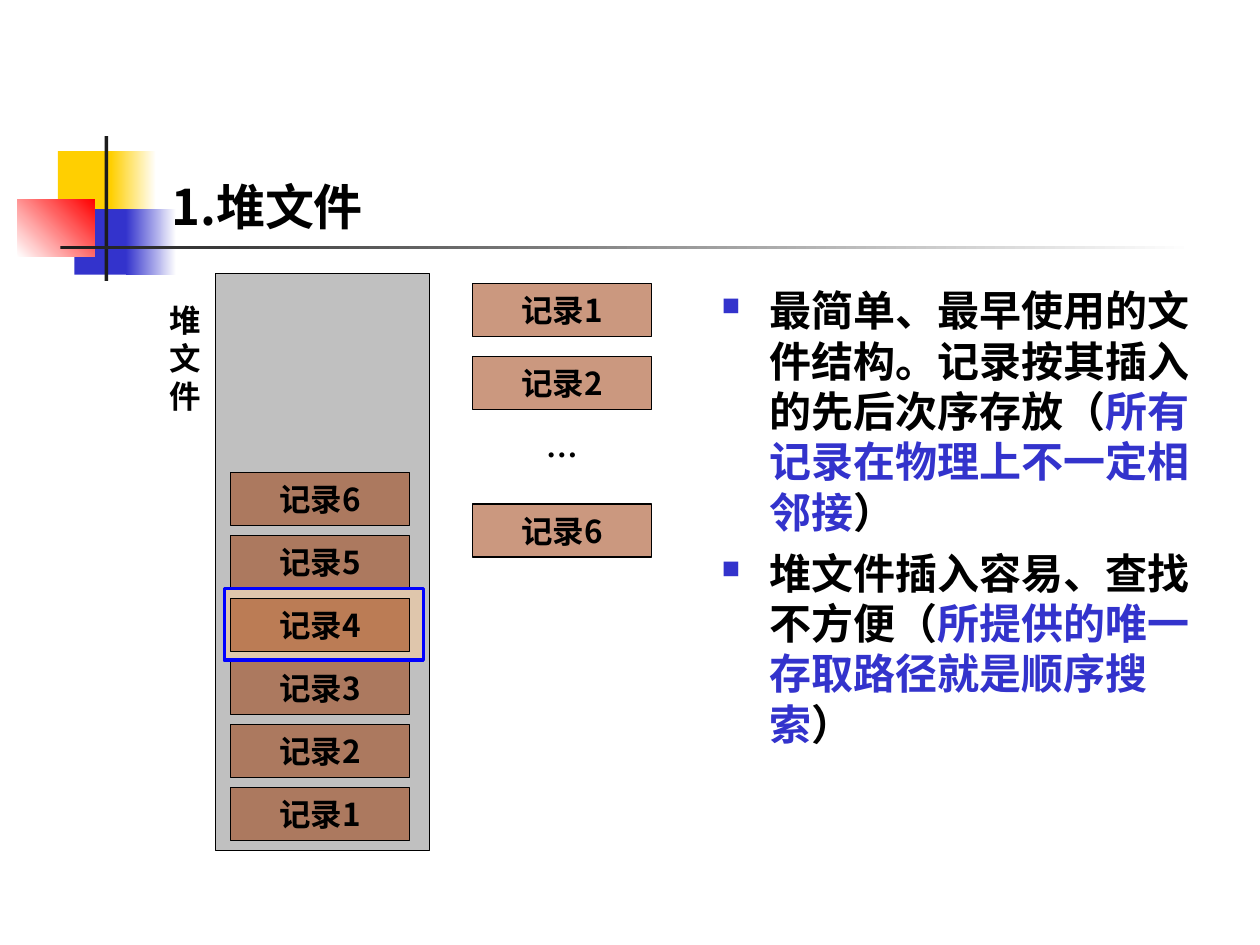
from typing import NamedTuple

from lxml import etree
from pptx import Presentation
from pptx.dml.color import RGBColor
from pptx.enum.shapes import MSO_SHAPE
from pptx.enum.text import MSO_ANCHOR, PP_ALIGN
from pptx.oxml.ns import qn
from pptx.util import Inches, Pt

RECT = MSO_SHAPE.RECTANGLE
CENTER, LEFT, JUSTIFY = PP_ALIGN.CENTER, PP_ALIGN.LEFT, PP_ALIGN.JUSTIFY
TOP, MIDDLE, BOTTOM = MSO_ANCHOR.TOP, MSO_ANCHOR.MIDDLE, MSO_ANCHOR.BOTTOM
SANS, SERIF = "Noto Sans CJK SC", "Times New Roman"
BLACK, BLUE, BROWN = "000000", "3333CC", "993300"
REC_W, REC_H = 1.42, 0.42


class Box(NamedTuple):
    x: float
    y: float
    w: float
    h: float


class Deco(NamedTuple):
    box: Box
    start: str
    end: str = ""
    angle: float = 0


class Point(NamedTuple):
    lead: str
    key: str


DECOS = [
    Deco(Box(0.46, 1.2, 0.48, 0.52), "FFCF01"),
    Deco(Box(0.88, 1.2, 0.36, 0.52), "FFCF01", "FFFFFF"),
    Deco(Box(0.59, 1.66, 0.46, 0.52), BLUE),
    Deco(Box(1, 1.66, 0.4, 0.52), BLUE, "FFFFFF"),
    Deco(Box(0.14, 1.58, 0.61, 0.46), "FFFFFF", "FF0000", 45),
    Deco(Box(0.83, 1.08, 0.03, 1.15), "1C1C1C"),
    Deco(Box(0.48, 1.95, 9, 0.03), "1C1C1C", "FFFFFF"),
]
POINTS = [
    Point("最简单、最早使用的文件结构。记录按其插入的先后次序存放（",
          "所有记录在物理上不一定相邻接"),
    Point("堆文件插入容易、查找不方便（", "所提供的唯一存取路径就是顺序搜索"),
]


def rgb(color: str) -> RGBColor:
    return RGBColor.from_string(color)


def place(box: Box) -> list:
    return [Inches(v) for v in box]


def style(run, size: float, face: str = SANS, color: str = BLACK) -> None:
    font = run.font
    font.size, font.bold = Pt(size), True
    font.color.rgb = rgb(color)
    font.name = face
    # East Asian glyphs take their face from a separate element
    font._element.find(qn("a:latin")).addnext(
        etree.Element(qn("a:ea"), typeface=SANS))


def write(shape, text: str, size: float, face: str = SANS,
          align=CENTER, anchor=MIDDLE) -> None:
    frame = shape.text_frame
    frame.word_wrap, frame.vertical_anchor = True, anchor
    frame.text = text
    para = frame.paragraphs[0]
    para.alignment = align
    style(para.runs[0], size, face)


def draw(shapes, box: Box, fill: str, line: str = "", width: float = 0.75,
         alpha: int = 100):
    """Add a rectangle; alpha is the opacity in percent."""
    shape = shapes.add_shape(RECT, *place(box))
    shape.shadow.inherit = False
    shape.fill.solid()
    shape.fill.fore_color.rgb = rgb(fill)
    if alpha < 100:
        tint = shape._element.spPr.find(".//" + qn("a:srgbClr"))
        etree.SubElement(tint, qn("a:alpha"), val=str(alpha * 1000))
    if line:
        shape.line.color.rgb = rgb(line)
        shape.line.width = Pt(width)
    else:
        shape.line.fill.background()
    return shape


def decorate(shapes, deco: Deco) -> None:
    shape = draw(shapes, deco.box, deco.start)
    if deco.end:
        shape.fill.gradient()
        shape.fill.gradient_angle = deco.angle
        for stop, color in zip(shape.fill.gradient_stops, deco[1:3]):
            stop.color.rgb = rgb(color)


def record(shapes, num: int, x: float, y: float) -> None:
    box = Box(x, y, REC_W, REC_H)
    write(draw(shapes, box, BROWN, BLACK, alpha=50), f"记录{num}", 18)


def label(shapes, box: Box, text: str, align) -> None:
    write(shapes.add_textbox(*place(box)), text, 18, SERIF, align, TOP)


def bullet(para) -> None:
    props = para._p.get_or_add_pPr()
    props.set("marL", str(Inches(0.38)))
    props.set("indent", str(-Inches(0.38)))
    tint = etree.SubElement(props, qn("a:buClr"))
    etree.SubElement(tint, qn("a:srgbClr"), val=BLUE)
    etree.SubElement(props, qn("a:buSzPct"), val="60000")
    etree.SubElement(props, qn("a:buChar"), char="■")


def list_points(shapes, box: Box) -> None:
    frame = shapes.add_textbox(*place(box)).text_frame
    frame.word_wrap = True
    for i, point in enumerate(POINTS):
        para = frame.add_paragraph() if i else frame.paragraphs[0]
        bullet(para)
        if i:
            para.space_before = Pt(6)
        for text, color in ((point.lead, BLACK), (point.key, BLUE),
                            ("）", BLACK)):
            run = para.add_run()
            run.text = text
            style(run, 24, color=color)


def main() -> None:
    deck = Presentation()
    deck.slide_width, deck.slide_height = Inches(10), Inches(7.5)
    slide = deck.slides.add_slide(deck.slide_layouts[5])
    shapes = slide.shapes

    for deco in DECOS:
        decorate(shapes, deco)

    title = shapes.title
    title.left, title.top, title.width, title.height = place(
        Box(1.26, 0.67, 8.52, 1.25))
    write(title, "1.堆文件", 28, align=LEFT, anchor=BOTTOM)
    # Keep the title above the corner squares
    shapes._spTree.append(title._element)

    list_points(shapes, Box(5.63, 2.21, 4.17, 4.5))

    draw(shapes, Box(1.71, 2.17, 1.7, 4.58), "C0C0C0", BLACK)
    label(shapes, Box(1.25, 2.34, 0.46, 1.41), "堆文件", JUSTIFY)

    for num, y in ((1, 2.25), (2, 2.83), (6, 4)):
        record(shapes, num, 3.75, y)
    label(shapes, Box(3.75, 3.33, REC_W, REC_H), "…", CENTER)

    # Record 4 comes last, on top of its highlight frame
    for num in (1, 2, 3, 5, 6, 4):
        if num == 4:
            draw(shapes, Box(1.78, 4.67, 1.58, 0.57), "FFCC99", "0000FF", 2, 50)
        record(shapes, num, 1.83, 6.75 - 0.5 * num)

    deck.save("out.pptx")


if __name__ == "__main__":
    main()
